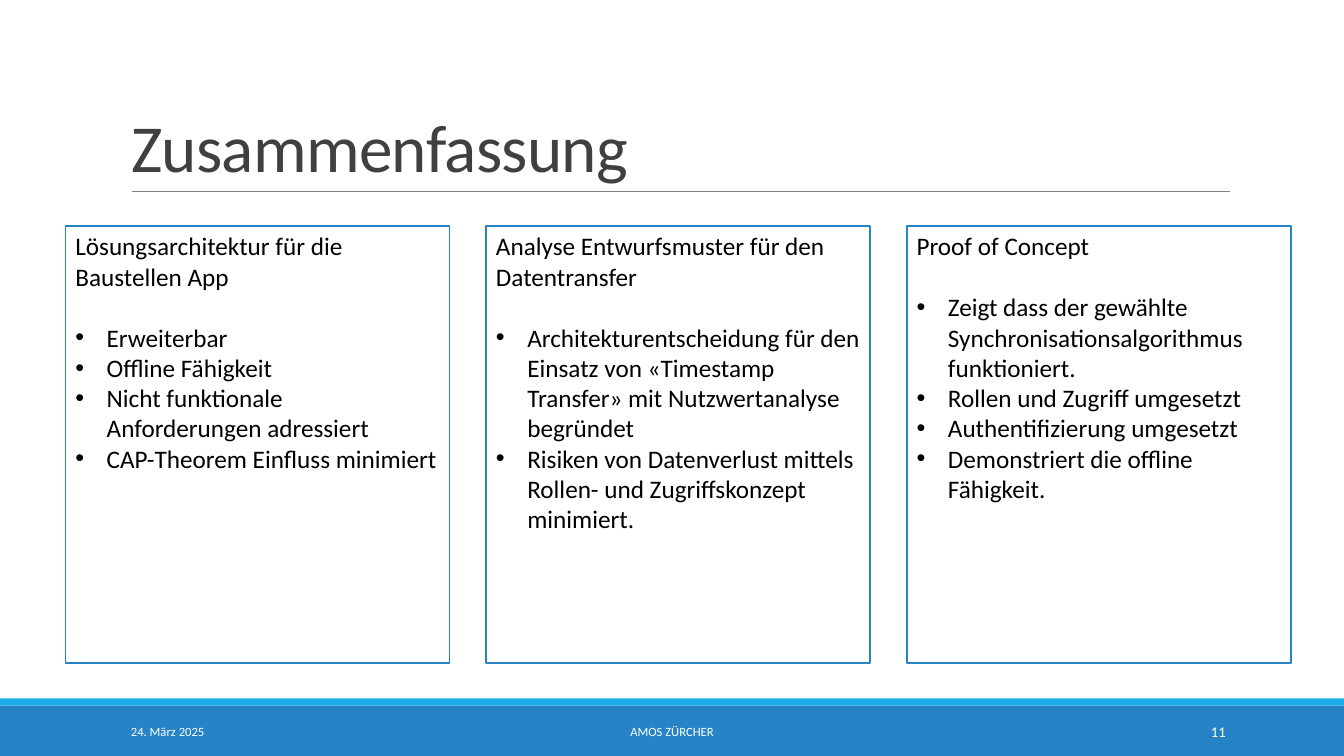
import pptx
import pptx.dml.color
import pptx.enum.shapes
import pptx.enum.text
import pptx.oxml.ns
import pptx.util
from lxml import etree

Cm = pptx.util.Cm
Pt = pptx.util.Pt
RGBColor = pptx.dml.color.RGBColor
Align = pptx.enum.text.PP_ALIGN
Anchor = pptx.enum.text.MSO_ANCHOR
qn = pptx.oxml.ns.qn

WHITE = RGBColor(0xFF, 0xFF, 0xFF)
BLACK = RGBColor(0x00, 0x00, 0x00)
BLUE = RGBColor(0x26, 0x83, 0xC6)
CYAN = RGBColor(0x1C, 0xAD, 0xE4)
GREY = RGBColor(0x80, 0x80, 0x80)
DARK_GREY = RGBColor(0x40, 0x40, 0x40)

SLIDE_WIDTH, SLIDE_HEIGHT = 33.87, 19.05
CARD_LEFT, CARD_TOP, CARD_PITCH = 1.65, 5.69, 10.6
CARD_WIDTH, CARD_HEIGHT = 9.68, 11.02

CARDS = [
    ("Lösungsarchitektur für die Baustellen App", [
        "Erweiterbar",
        "Offline Fähigkeit",
        "Nicht funktionale Anforderungen adressiert",
        "CAP-Theorem Einfluss minimiert",
    ]),
    ("Analyse Entwurfsmuster für den Datentransfer", [
        "Architekturentscheidung für den Einsatz von «Timestamp Transfer» "
        "mit Nutzwertanalyse begründet",
        "Risiken von Datenverlust mittels Rollen- und Zugriffskonzept minimiert.",
    ]),
    ("Proof of Concept", [
        "Zeigt dass der gewählte Synchronisationsalgorithmus funktioniert.",
        "Rollen und Zugriff umgesetzt",
        "Authentifizierung umgesetzt",
        "Demonstriert die offline Fähigkeit.",
    ]),
]

FOOTERS = [
    ("24. März 2025", 3.05, 6.86, 9, Align.LEFT),
    ("AMOS ZÜRCHER", 10.24, 13.39, 9, Align.CENTER),
    ("11", 27.51, 3.63, 10.5, Align.RIGHT),
]


class SlideBuilder:
    font_name = "Calibri"

    def __init__(self, slide):
        self.slide = slide

    def fill_paragraph(self, paragraph, text, size, color, alignment=Align.LEFT):
        paragraph.text = text
        paragraph.alignment = alignment
        paragraph.font.name = self.font_name
        paragraph.font.size = Pt(size)
        paragraph.font.color.rgb = color

    def title(self, text, left, top, width, height):
        title = self.slide.shapes.title
        title.left, title.top = Cm(left), Cm(top)
        title.width, title.height = Cm(width), Cm(height)
        frame = title.text_frame
        frame.auto_size = pptx.enum.text.MSO_AUTO_SIZE.NONE
        frame.vertical_anchor = Anchor.BOTTOM
        paragraph = frame.paragraphs[0]
        self.fill_paragraph(paragraph, text, 48, DARK_GREY)
        paragraph.line_spacing = 0.85
        paragraph.runs[0]._r.get_or_add_rPr().set("spc", "-50")

    def rectangle(self, left, top, width, height, fill, line=None):
        shape = self.slide.shapes.add_shape(
            pptx.enum.shapes.MSO_SHAPE.RECTANGLE,
            Cm(left), Cm(top), Cm(width), Cm(height))
        shape.shadow.inherit = False
        shape.fill.solid()
        shape.fill.fore_color.rgb = fill
        if line is None:
            shape.line.fill.background()
        else:
            shape.line.color.rgb = line
            shape.line.width = Pt(1.25)
        return shape

    def rule(self, left, right, height):
        connector = self.slide.shapes.add_connector(
            pptx.enum.shapes.MSO_CONNECTOR.STRAIGHT,
            Cm(left), Cm(height), Cm(right), Cm(height))
        connector.line.color.rgb = GREY
        connector.line.width = Pt(0.5)
        etree.SubElement(connector._element.spPr, qn("a:effectLst"))

    def footer(self, text, left, width, size, alignment):
        box = self.slide.shapes.add_textbox(Cm(left), Cm(17.93), Cm(width), Cm(1.02))
        frame = box.text_frame
        frame.word_wrap = True
        frame.vertical_anchor = Anchor.MIDDLE
        self.fill_paragraph(frame.paragraphs[0], text, size, WHITE, alignment)

    def bullet(self, paragraph):
        properties = paragraph._p.get_or_add_pPr()
        properties.set("marL", str(Cm(0.79)))
        properties.set("indent", str(-Cm(0.79)))
        font = etree.Element(qn("a:buFont"), typeface="Arial")
        character = etree.Element(qn("a:buChar"), char="•")
        default_run = properties.find(qn("a:defRPr"))
        default_run.addprevious(font)
        default_run.addprevious(character)

    def card(self, left, heading, points):
        shape = self.rectangle(left, CARD_TOP, CARD_WIDTH, CARD_HEIGHT, WHITE, BLUE)
        frame = shape.text_frame
        frame.word_wrap = True
        frame.vertical_anchor = Anchor.TOP
        self.fill_paragraph(frame.paragraphs[0], heading, 18, BLACK)
        frame.paragraphs[0].space_after = Pt(22)
        for point in points:
            paragraph = frame.add_paragraph()
            self.fill_paragraph(paragraph, point, 18, BLACK)
            self.bullet(paragraph)


def main():
    presentation = pptx.Presentation()
    presentation.slide_width = Cm(SLIDE_WIDTH)
    presentation.slide_height = Cm(SLIDE_HEIGHT)
    builder = SlideBuilder(presentation.slides.add_slide(presentation.slide_layouts[5]))

    builder.rectangle(0, 17.78, SLIDE_WIDTH, 1.27, BLUE)
    builder.rectangle(0, 17.6, SLIDE_WIDTH, 0.18, CYAN)
    builder.rule(3.32, 31, 4.83)
    builder.title("Zusammenfassung", 3.05, 0.79, 27.94, 4.04)
    for footer in FOOTERS:
        builder.footer(*footer)
    for index, (heading, points) in enumerate(CARDS):
        builder.card(CARD_LEFT + index * CARD_PITCH, heading, points)

    presentation.save("out.pptx")


if __name__ == "__main__":
    main()
